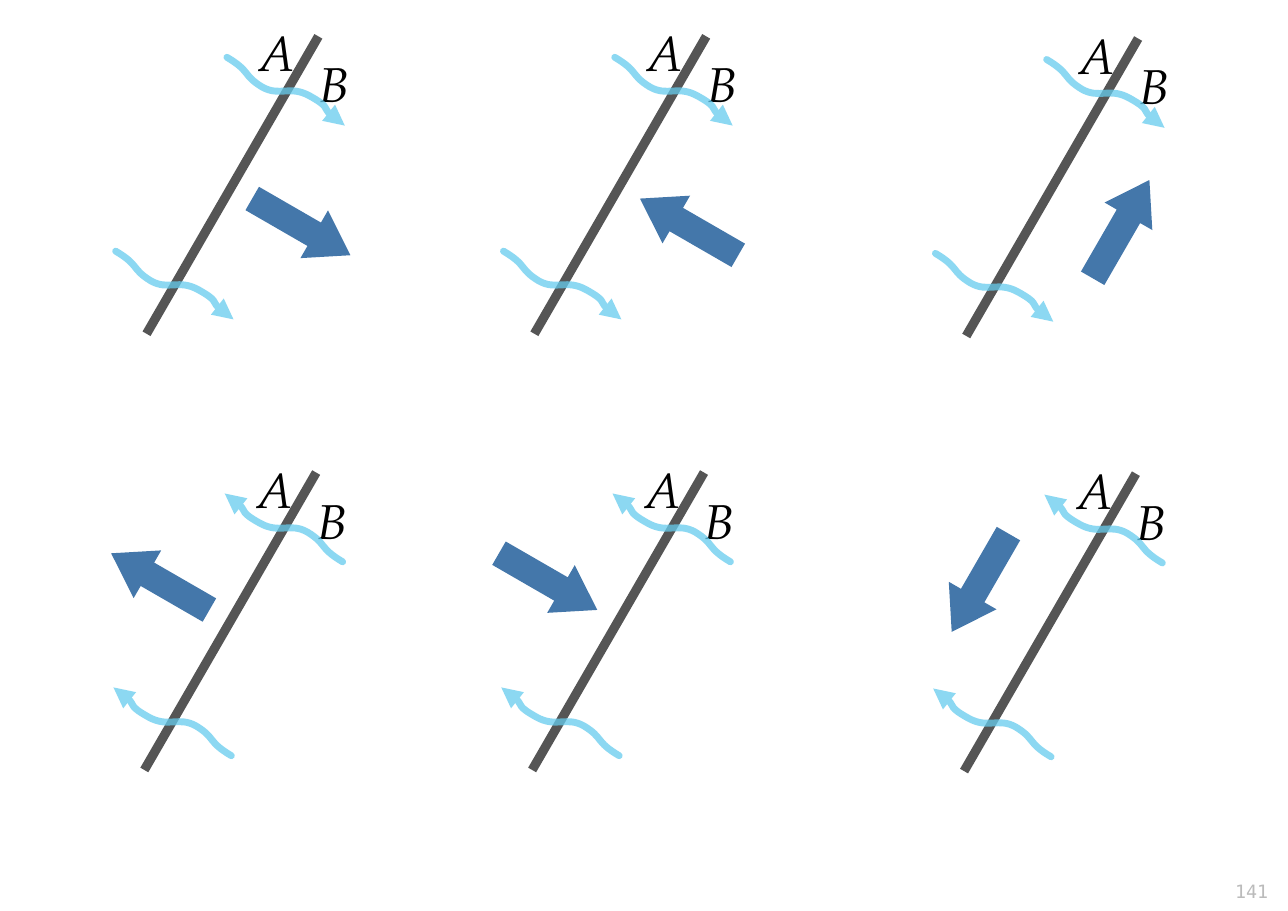
from dataclasses import dataclass
from typing import NamedTuple

from lxml import etree
from pptx import Presentation
from pptx.dml.color import RGBColor
from pptx.enum.shapes import MSO_CONNECTOR, MSO_SHAPE
from pptx.enum.text import MSO_AUTO_SIZE, PP_ALIGN
from pptx.oxml.ns import qn
from pptx.slide import Slide
from pptx.util import Inches, Pt

STRAIGHT = MSO_CONNECTOR.STRAIGHT
RIGHT_ARROW = MSO_SHAPE.RIGHT_ARROW
FIT_SHAPE = MSO_AUTO_SIZE.SHAPE_TO_FIT_TEXT
LEFT, RIGHT = PP_ALIGN.LEFT, PP_ALIGN.RIGHT


@dataclass(frozen=True)
class Theme:
    front: RGBColor = RGBColor(0x55, 0x55, 0x55)
    motion: RGBColor = RGBColor(0x44, 0x77, 0xAA)
    wave: RGBColor = RGBColor(0x66, 0xCC, 0xEE)
    label: RGBColor = RGBColor(0, 0, 0)
    number: RGBColor = RGBColor(0xBB, 0xBB, 0xBB)
    label_font: str = "TeX Gyre Pagella"
    number_font: str = "DejaVu Sans Mono"
    label_size: float = 32
    number_size: float = 12
    front_width: float = 6
    wave_width: float = 4.5
    wave_alpha: int = 75


class Point(NamedTuple):
    x: float
    y: float

    def shift(self, by: "Point") -> "Point":
        return Point(self.x + by.x, self.y + by.y)


class Size(NamedTuple):
    width: float
    height: float


class Label(NamedTuple):
    text: str
    offset: Point
    size: Size


class Panel(NamedTuple):
    foot: Point
    motion_offset: Point
    motion_angle: float
    wave_forward: bool


THEME = Theme()
FRONT_TOP = Point(1.56, -2.7)
MOTION_SIZE = Size(1.03, 0.5)
RIGHT_SIDE, LEFT_SIDE = Point(0.89, -1.22), Point(-0.37, -1.96)
LABELS = (
    Label("A", Point(0.93, -2.87), Size(0.52, 0.7)),
    Label("B", Point(1.47, -2.59), Size(0.47, 0.7)),
)
WAVE_OFFSETS = (Point(-0.28, -0.75), Point(0.73, -2.51))
WAVE_SIZE = Size(1.07, 0.62)
WAVE = (
    Point(0, 0),
    Point(0.22, 0.13), Point(0.14, 0.16), Point(0.32, 0.27),
    Point(0.48, 0.36), Point(0.57, 0.25), Point(0.75, 0.35),
    Point(0.93, 0.45), Point(0.85, 0.48), Point(1.07, 0.62),
)
PANELS = (
    Panel(Point(1.33, 3.03), RIGHT_SIDE, 30, True),
    Panel(Point(4.85, 3.03), RIGHT_SIDE, 210, True),
    Panel(Point(8.77, 3.05), RIGHT_SIDE, 300, True),
    Panel(Point(1.31, 6.99), LEFT_SIDE, 210, False),
    Panel(Point(4.83, 6.99), LEFT_SIDE, 30, False),
    Panel(Point(8.75, 7), LEFT_SIDE, 120, False),
)


def add_text(s: Slide, text: str, at: Point, size: Size, font: str, points: float,
             color: RGBColor, italic: bool, align: PP_ALIGN) -> None:
    sp = s.shapes.add_textbox(*map(Inches, (*at, *size)))
    tf = sp.text_frame
    tf.word_wrap = False
    tf.auto_size = FIT_SHAPE
    p = tf.paragraphs[0]
    p.alignment = align
    r = p.add_run()
    r.text = text
    r.font.name = font
    r.font.size = Pt(points)
    r.font.italic = italic
    r.font.color.rgb = color


def add_front(s: Slide, foot: Point) -> None:
    ends = map(Inches, (*foot, *foot.shift(FRONT_TOP)))
    line = s.shapes.add_connector(STRAIGHT, *ends)
    line.line.color.rgb = THEME.front
    line.line.width = Pt(THEME.front_width)
    etree.SubElement(line.element.spPr, qn("a:effectLst"))


def add_motion(s: Slide, at: Point, angle: float) -> None:
    sp = s.shapes.add_shape(RIGHT_ARROW, *map(Inches, (*at, *MOTION_SIZE)))
    sp.adjustments[0], sp.adjustments[1] = 0.49, 0.76
    sp.rotation = angle
    sp.shadow.inherit = False
    sp.fill.solid()
    sp.fill.fore_color.rgb = THEME.motion
    sp.line.fill.background()


def add_wave(s: Slide, at: Point, forward: bool) -> None:
    turned = (Point(WAVE_SIZE.width - x, WAVE_SIZE.height - y) for x, y in WAVE)
    points = [p.shift(at) for p in (WAVE if forward else turned)]
    start, *controls = [(Inches(x), Inches(y)) for x, y in points]
    builder = s.shapes.build_freeform(*start)
    builder.add_line_segments(controls, close=False)
    sp = builder.convert_to_shape()
    segments = list(sp.element.iter(qn("a:lnTo")))
    for i in range(0, len(segments), 3):
        curve = etree.Element(qn("a:cubicBezTo"))
        segments[i].addprevious(curve)
        for segment in segments[i:i + 3]:
            curve.append(segment[0])
            segment.getparent().remove(segment)
    sp.shadow.inherit = False
    sp.fill.background()
    sp.line.color.rgb = THEME.wave
    sp.line.width = Pt(THEME.wave_width)
    ln = sp.element.spPr.find(qn("a:ln"))
    ln.set("cap", "rnd")
    color = ln.find(f".//{qn('a:srgbClr')}")
    etree.SubElement(color, qn("a:alpha"), val=str(THEME.wave_alpha * 1000))
    etree.SubElement(ln, qn("a:tailEnd"), type="triangle")


def add_panel(s: Slide, panel: Panel) -> None:
    add_front(s, panel.foot)
    add_motion(s, panel.foot.shift(panel.motion_offset), panel.motion_angle)
    for label in LABELS:
        add_text(s, label.text, panel.foot.shift(label.offset), label.size,
                 THEME.label_font, THEME.label_size, THEME.label, True, LEFT)
    for offset in WAVE_OFFSETS:
        add_wave(s, panel.foot.shift(offset), panel.wave_forward)


def main() -> None:
    prs = Presentation()
    prs.slide_width, prs.slide_height = Inches(11.69), Inches(8.27)
    s = prs.slides.add_slide(prs.slide_layouts[6])
    add_text(s, "141", Point(10.61, 7.94), Size(1, 0.29), THEME.number_font,
             THEME.number_size, THEME.number, False, RIGHT)
    for panel in PANELS:
        add_panel(s, panel)
    prs.save("out.pptx")


if __name__ == "__main__":
    main()
